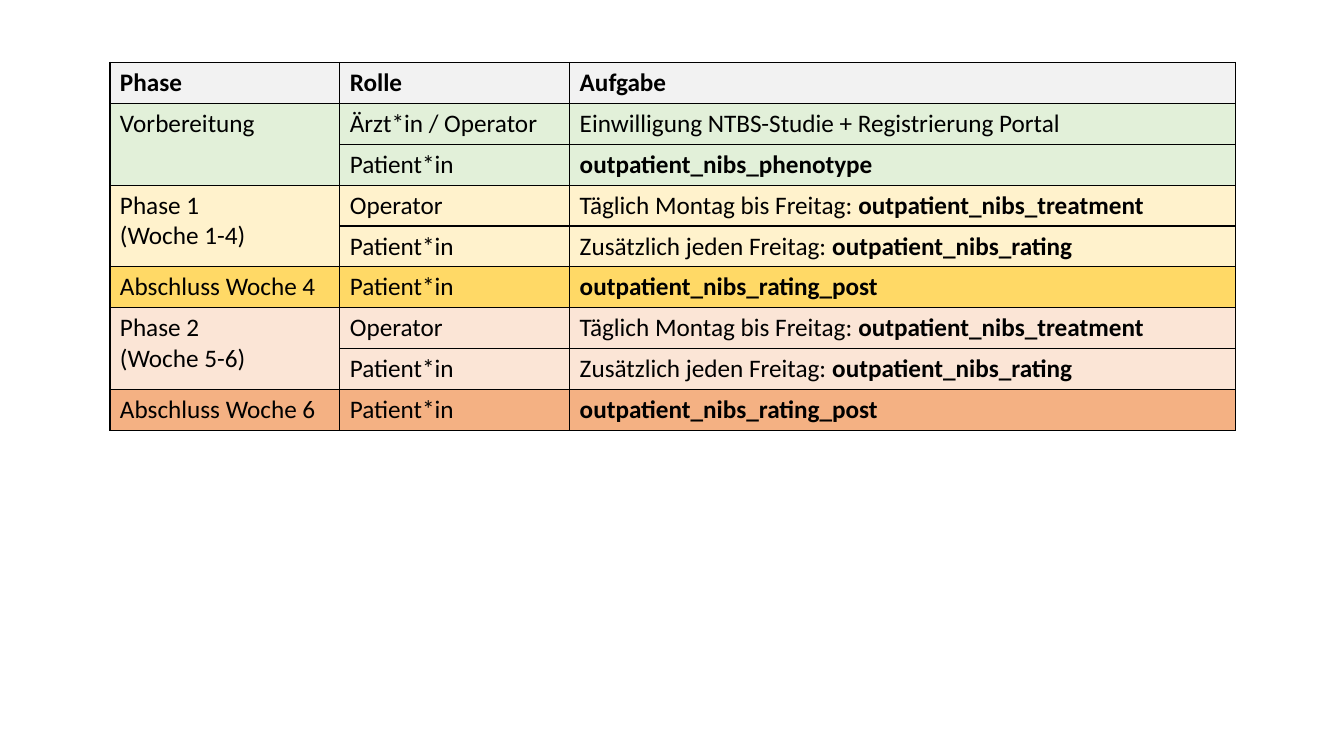
from dataclasses import dataclass

from lxml.etree import SubElement
from pptx import Presentation
from pptx.dml.color import RGBColor
from pptx.oxml.ns import qn
from pptx.util import Inches, Pt


@dataclass(frozen=True)
class Theme:
    face: str = "Calibri"
    size: int = 18
    line: int = 1
    ink: str = "000000"
    head: str = "F2F2F2"
    green: str = "E2F0D9"
    cream: str = "FFF2CC"
    gold: str = "FFD966"
    peach: str = "FBE5D6"
    orange: str = "F4B183"


THEME = Theme()
WIDTHS = (2.28, 2.28, 6.6)
HEIGHT = 0.4
HEADS = ("Phase", "Rolle", "Aufgabe")
DAILY = ("Operator", "Täglich Montag bis Freitag: ", "outpatient_nibs_treatment")
WEEKLY = ("Patient*in", "Zusätzlich jeden Freitag: ", "outpatient_nibs_rating")
FINAL = ("Patient*in", "", "outpatient_nibs_rating_post")
START = (
    ("Ärzt*in / Operator", "Einwilligung NTBS-Studie + Registrierung Portal", ""),
    ("Patient*in", "", "outpatient_nibs_phenotype"),
)
GROUPS = (
    (("Vorbereitung",), THEME.green, START),
    (("Phase 1", "(Woche 1-4)"), THEME.cream, (DAILY, WEEKLY)),
    (("Abschluss Woche 4",), THEME.gold, (FINAL,)),
    (("Phase 2", "(Woche 5-6)"), THEME.peach, (DAILY, WEEKLY)),
    (("Abschluss Woche 6",), THEME.orange, (FINAL,)),
)


def apply(target, values):
    for name, value in values.items():
        setattr(target, name, value)


def add_run(para, text, bold=False):
    run = para.add_run()
    run.text = text
    apply(run.font, {"name": THEME.face, "size": Pt(THEME.size), "bold": bold})
    run.font.color.rgb = RGBColor.from_string(THEME.ink)


def add_edges(cell):
    props = cell._tc.get_or_add_tcPr()
    for side in ("lnL", "lnR", "lnT", "lnB"):
        edge = SubElement(props, qn(f"a:{side}"), w=str(Pt(THEME.line)))
        paint = SubElement(edge, qn("a:solidFill"))
        SubElement(paint, qn("a:srgbClr"), val=THEME.ink)


def style_cell(cell, shade):
    add_edges(cell)
    cell.fill.solid()
    cell.fill.fore_color.rgb = RGBColor.from_string(shade)


def write_cell(cell, lines):
    frame = cell.text_frame
    for index, parts in enumerate(lines):
        para = frame.add_paragraph() if index else frame.paragraphs[0]
        for text, bold in parts:
            if text:
                add_run(para, text, bold)


def add_grid(slide):
    count = 1 + sum(len(tasks) for _, _, tasks in GROUPS)
    frame = slide.shapes.add_table(
        count, len(WIDTHS), Inches(1.09), Inches(0.62),
        Inches(sum(WIDTHS)), Inches(HEIGHT * count),
    )
    table = frame.table
    apply(table, {"first_row": False, "horz_banding": False})
    for column, width in zip(table.columns, WIDTHS):
        column.width = Inches(width)
    for row in table.rows:
        row.height = Inches(HEIGHT)
    return table


def fill_head(table):
    for col, text in enumerate(HEADS):
        cell = table.cell(0, col)
        style_cell(cell, THEME.head)
        write_cell(cell, [[(text, True)]])


def fill_group(table, top, phase, shade, tasks):
    for row, (role, plain, strong) in enumerate(tasks, top):
        for col in range(len(WIDTHS)):
            style_cell(table.cell(row, col), shade)
        write_cell(table.cell(row, 1), [[(role, False)]])
        write_cell(table.cell(row, 2), [[(plain, False), (strong, True)]])
    first = table.cell(top, 0)
    if len(tasks) > 1:
        first.merge(table.cell(top + len(tasks) - 1, 0))
    write_cell(first, [[(line, False)] for line in phase])


def main():
    deck = Presentation()
    apply(deck, {"slide_width": Inches(13.33), "slide_height": Inches(7.5)})
    slide = deck.slides.add_slide(deck.slide_layouts[6])
    table = add_grid(slide)
    fill_head(table)
    top = 1
    for phase, shade, tasks in GROUPS:
        fill_group(table, top, phase, shade, tasks)
        top += len(tasks)
    deck.save("out.pptx")


if __name__ == "__main__":
    main()
